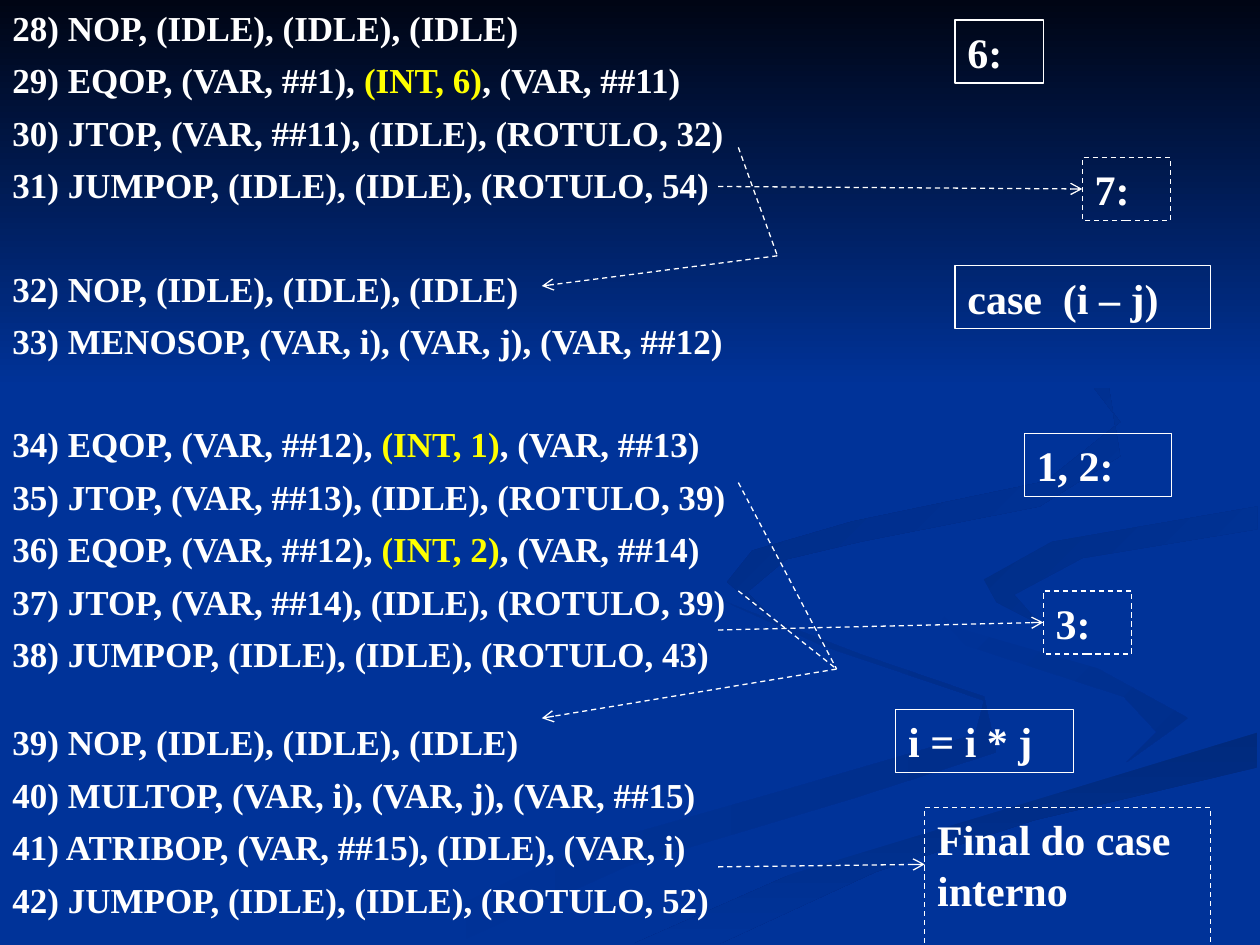
"""Build the slide of intermediate code for a nested case statement."""
from lxml.etree import SubElement
from pptx import Presentation
from pptx.dml.color import RGBColor
from pptx.enum.dml import MSO_LINE
from pptx.enum.shapes import MSO_CONNECTOR, MSO_SHAPE
from pptx.enum.text import MSO_ANCHOR, PP_ALIGN
from pptx.oxml.ns import qn
from pptx.util import Pt

COLORS = {
    "blue": "003399", "night": "000514", "white": "FFFFFF", "yellow": "FFFF00",
    "tail": "002E8B", "band": "002A7D", "curl": "002D86", "loop": "002B82",
}
RGB = {name: RGBColor.from_string(code) for name, code in COLORS.items()}

deck = Presentation()
deck.slide_width, deck.slide_height = Pt(720), Pt(540)
COLS, ROWS = 1000, 750
CELL = deck.slide_width // COLS
slide = deck.slides.add_slide(deck.slide_layouts[6])
shapes = slide.shapes
slide.background.fill.solid()
slide.background.fill.fore_color.rgb = RGB["blue"]


def write(para, text, size=20, gap=0):
    para.alignment = PP_ALIGN.LEFT
    para.space_before = Pt(gap)
    for place, part in enumerate(text.split("|")):
        run = para.add_run()
        run.text = part
        run.font.name = "Times New Roman"
        run.font.size = Pt(size)
        run.font.bold = True
        run.font.color.rgb = RGB["yellow" if place % 2 else "white"]


SWIRLS = [
    ("blue", "tail", 0, [
        (781, 553), (682, 519), (594, 485), (572, 476), (654, 513), (781, 556),
        (774, 583), (616, 629), (458, 674), (300, 749), (361, 749), (499, 687),
        (676, 634), (791, 597)]),
    ("blue", "tail", 45, [
        (943, 570), (870, 530), (758, 498), (724, 464), (766, 512), (892, 553),
        (918, 581), (894, 605)]),
    ("band", "blue", 90, [
        (503, 749), (571, 749), (695, 692), (821, 651), (998, 609), (998, 581),
        (764, 647), (630, 693)]),
    ("blue", "blue", 0, [
        (725, 464), (759, 498), (905, 540), (943, 570), (902, 603), (743, 643),
        (477, 749), (630, 693), (999, 581), (999, 538), (848, 503), (782, 460),
        (835, 430), (999, 402), (999, 387), (808, 417)]),
    ("curl", "blue", 45, [
        (781, 460), (791, 478), (826, 496), (805, 472), (859, 443), (998, 420),
        (998, 402), (835, 430)]),
    ("loop", "blue", 45, [
        (683, 430), (825, 402), (889, 362), (880, 307), (762, 233), (846, 279),
        (889, 335), (830, 382), (676, 414), (597, 437), (577, 462), (622, 500),
        (593, 470), (624, 444)]),
    ("night", "blue", 90, [(0, 0), (0, 308), (COLS, 308), (COLS, 0)]),
]
for start, end, angle, points in SWIRLS:
    pen = shapes.build_freeform(*points[0], scale=CELL)
    pen.add_line_segments(points[1:], close=True)
    swirl = pen.convert_to_shape()
    swirl.shadow.inherit = False
    swirl.line.fill.background()
    swirl.fill.gradient()
    swirl.fill.gradient_angle = 360 - angle
    for stop, name in zip(swirl.fill.gradient_stops, (start, end)):
        stop.color.rgb = RGB[name]

CODE = [
    "NOP, (IDLE), (IDLE), (IDLE)",
    "EQOP, (VAR, ##1), |(INT, 6)|, (VAR, ##11)",
    "JTOP, (VAR, ##11), (IDLE), (ROTULO, 32)",
    "JUMPOP, (IDLE), (IDLE), (ROTULO, 54)",
    "NOP, (IDLE), (IDLE), (IDLE)",
    "MENOSOP, (VAR, i), (VAR, j), (VAR, ##12)",
    "EQOP, (VAR, ##12), |(INT, 1)|, (VAR, ##13)",
    "JTOP, (VAR, ##13), (IDLE), (ROTULO, 39)",
    "EQOP, (VAR, ##12), |(INT, 2)|, (VAR, ##14)",
    "JTOP, (VAR, ##14), (IDLE), (ROTULO, 39)",
    "JUMPOP, (IDLE), (IDLE), (ROTULO, 43)",
    "NOP, (IDLE), (IDLE), (IDLE)",
    "MULTOP, (VAR, i), (VAR, j), (VAR, ##15)",
    "ATRIBOP, (VAR, ##15), (IDLE), (VAR, i)",
    "JUMPOP, (IDLE), (IDLE), (ROTULO, 52)",
]
FIRST = 28
GAPS = {FIRST: 0, 32: 35, 34: 35, 39: 26}
frame = shapes.add_textbox(0, 0, COLS * CELL, ROWS * CELL).text_frame
frame.word_wrap = True
for row, text in enumerate(CODE, FIRST):
    para = frame.paragraphs[0] if row == FIRST else frame.add_paragraph()
    write(para, f"{row}) {text}", gap=GAPS.get(row, 6))

TALL = 50
BOXES = [
    ("6:", 758, 16, 70, TALL, False),
    ("i = i * j", 711, 563, 141, TALL, False),
    ("Final do case interno", 734, 641, 227, 130, True),
    ("case  (i – j)", 758, 211, 203, TALL, False),
    ("1, 2:", 813, 344, 117, TALL, False),
    ("3:", 828, 469, 70, TALL, True),
    ("7:", 859, 125, 70, TALL, True),
]
boxes = {}
for text, left, top, width, height, dashed in BOXES:
    box = shapes.add_shape(MSO_SHAPE.RECTANGLE, *(n * CELL for n in (left, top, width, height)))
    box.shadow.inherit = False
    box.fill.background()
    box.line.color.rgb = RGB["white"]
    box.line.width = Pt(0.75)
    if dashed:
        box.line.dash_style = MSO_LINE.DASH
    box.text_frame.word_wrap = True
    box.text_frame.vertical_anchor = MSO_ANCHOR.TOP
    write(box.text_frame.paragraphs[0], text, size=24)
    boxes[text] = box

EDGE, EXIT, BACK = 586, 570, 430
NEAR, FAR = (617, 203), (664, 531)
JUMPS = [
    ((EDGE, 117), NEAR, False, None),
    (NEAR, (BACK, 227), True, None),
    ((EXIT, 148), (859, 150), True, "7:"),
    ((EDGE, 383), FAR, False, None),
    ((EDGE, 469), FAR, False, None),
    (FAR, (BACK, 570), True, None),
    ((EXIT, 500), (828, 494), True, "3:"),
    ((EXIT, 688), (734, 686), True, None),
]
for start, end, arrow, goal in JUMPS:
    jump = shapes.add_connector(MSO_CONNECTOR.STRAIGHT, *(n * CELL for n in start + end))
    if goal:
        jump.end_connect(boxes[goal], 1)
    jump.line.color.rgb = RGB["white"]
    jump.line.width = Pt(0.75)
    jump.line.dash_style = MSO_LINE.DASH
    if arrow:
        SubElement(jump.line._get_or_add_ln(), qn("a:tailEnd"), type="arrow")
    SubElement(jump._element.spPr, qn("a:effectLst"))

deck.save("out.pptx")
